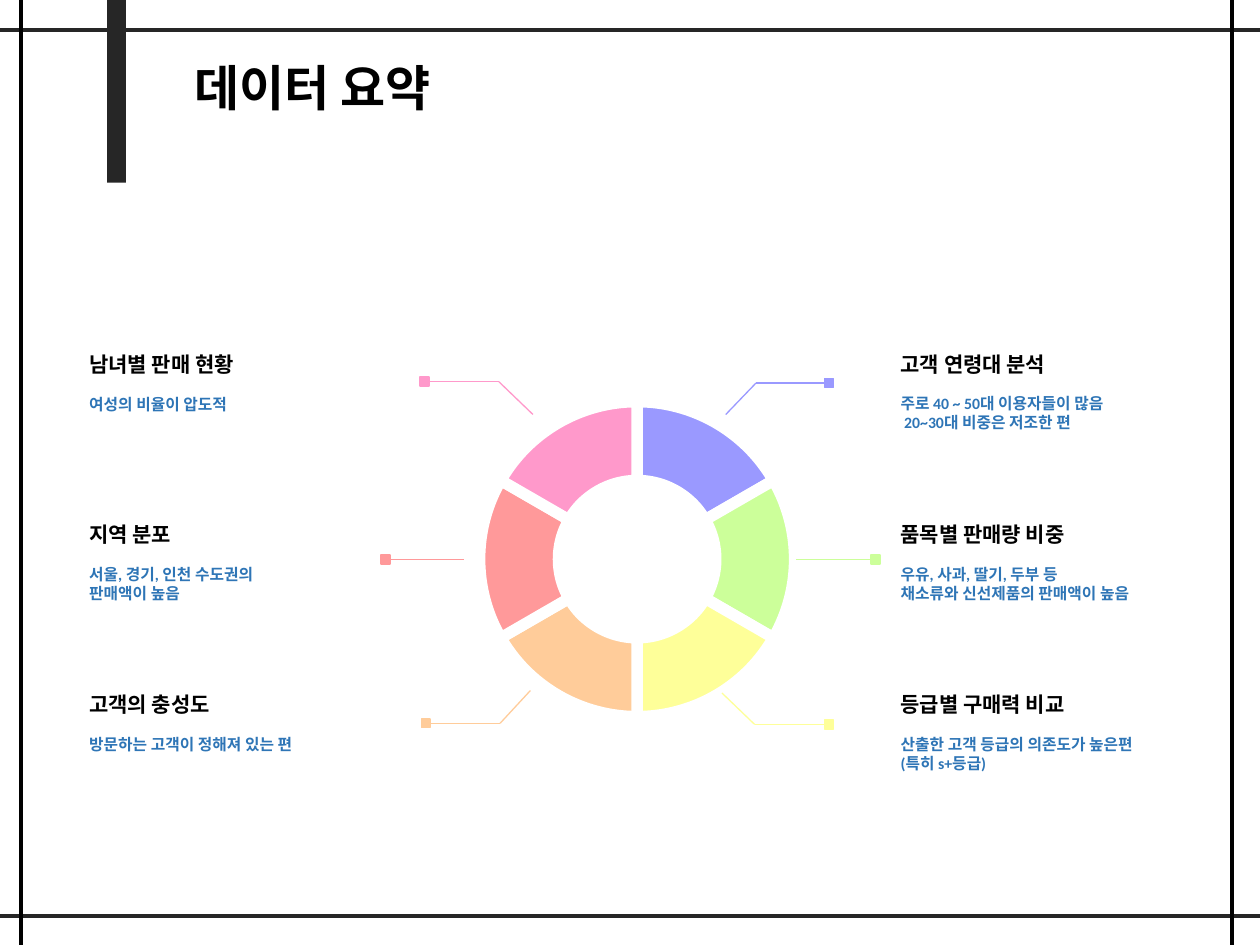
from collections import namedtuple
from itertools import pairwise

from lxml import etree
from pptx import Presentation
from pptx.chart.data import CategoryChartData
from pptx.dml.color import RGBColor
from pptx.enum.chart import XL_CHART_TYPE as ChartType
from pptx.enum.shapes import MSO_CONNECTOR as Connector, MSO_SHAPE as Shape
from pptx.enum.text import MSO_ANCHOR as Anchor, MSO_AUTO_SIZE as AutoSize, PP_ALIGN as Align
from pptx.oxml import parse_xml
from pptx.oxml.ns import nsdecls, qn
from pptx.util import Inches, Pt

Box = namedtuple("Box", "left top width height")
Topic = namedtuple("Topic", "heading details width colour route")

BLACK = RGBColor(0x00, 0x00, 0x00)
WHITE = RGBColor(0xFF, 0xFF, 0xFF)
CHARCOAL = RGBColor(0x26, 0x26, 0x26)
BLUE = RGBColor(0x2E, 0x75, 0xB6)
VIOLET = RGBColor(0x9A, 0x99, 0xFF)
GREEN = RGBColor(0xCC, 0xFF, 0x9A)
YELLOW = RGBColor(0xFE, 0xFF, 0x99)
ORANGE = RGBColor(0xFF, 0xCC, 0x9A)
RED = RGBColor(0xFF, 0x99, 0x9A)
PINK = RGBColor(0xFF, 0x99, 0xCB)

FONT = "Calibri"
MARKER = 0.07
ROW_STEP = 1.35

LEFT_TOPICS = [
    Topic("남녀별 판매 현황", ["여성의 비율이 압도적"], 2.2, PINK,
          [(0.56, -0.05), (1.15, -0.05), (1.42, 0.21)]),
    Topic("지역 분포", ["서울, 경기, 인천 수도권의", "판매액이 높음"], 1.5, RED,
          [(0.25, 1.36), (0.87, 1.36)]),
    Topic("고객의 충성도", ["방문하는 고객이 정해져 있는 편"], 2.2, ORANGE,
          [(0.57, 2.66), (1.16, 2.66), (1.4, 2.4)]),
]
RIGHT_TOPICS = [
    Topic("고객 연령대 분석", ["주로 40 ~ 50대 이용자들이 많음", "\u00a020~30대 비중은 저조한 편"], 2.4,
          VIOLET, [(3.77, -0.04), (3.19, -0.04), (2.95, 0.21)]),
    Topic("품목별 판매량 비중", ["우유, 사과, 딸기, 두부 등", "채소류와 신선제품의 판매액이 높음"], 2.4,
          GREEN, [(4.14, 1.36), (3.51, 1.36)]),
    Topic("등급별 구매력 비교", ["산출한 고객 등급의 의존도가 높은편", "(특히 s+등급)"], 2.4,
          YELLOW, [(3.77, 2.67), (3.18, 2.67), (2.92, 2.42)]),
]


def add_line(page, start, end, colour, width):
    line = page.shapes.add_connector(Connector.STRAIGHT, *map(Inches, start + end))
    line.line.color.rgb = colour
    line.line.width = Pt(width)
    etree.SubElement(line._element.spPr, qn("a:effectLst"))
    return line


def add_block(page, box, colour):
    block = page.shapes.add_shape(Shape.RECTANGLE, *map(Inches, box))
    block.shadow.inherit = False
    block.fill.solid()
    block.fill.fore_color.rgb = colour
    block.line.fill.background()
    return block


def write(frame, lines, size, colour):
    frame.text = "\n".join(lines)
    for para in frame.paragraphs:
        para.alignment = Align.LEFT
        para.font.name = FONT
        para.font.size = Pt(size)
        para.font.bold = True
        para.font.color.rgb = colour


def add_text(page, box, lines, size, colour):
    frame = page.shapes.add_textbox(*map(Inches, box)).text_frame
    frame.word_wrap = True
    write(frame, lines, size, colour)


def draw_frame(page, box):
    right, bottom = box.left + box.width, box.top + box.height
    for y in (0.24, 7.27):
        add_line(page, (box.left, box.top + y), (right, box.top + y), CHARCOAL, 2.25)
    for x in (0.17, 9.78):
        add_line(page, (box.left + x, box.top), (box.left + x, bottom), BLACK, 2.25)
    add_block(page, Box(box.left + 0.85, box.top, 0.15, 1.45), CHARCOAL)


def place_title(page, box, text):
    title = page.shapes.title
    title.left, title.top, title.width, title.height = map(Inches, box)
    frame = title.text_frame
    frame.word_wrap = False
    frame.auto_size = AutoSize.SHAPE_TO_FIT_TEXT
    frame.vertical_anchor = Anchor.TOP
    write(frame, [text], 28, BLACK)


def draw_ring(page, box, colours):
    data = CategoryChartData()
    data.categories = [str(number + 1) for number in range(len(colours))]
    data.add_series("Series 1", [17] * len(colours))
    chart = page.shapes.add_chart(ChartType.DOUGHNUT, *map(Inches, box), data).chart
    chart.has_legend = False
    chart.has_title = False
    chart.font.name = FONT
    chart.font.size = Pt(10)
    chart.font.color.rgb = BLACK
    plot = chart.plots[0]
    plot.vary_by_categories = False
    for index, colour in enumerate(colours):
        style = plot.series[0].points[index].format
        style.fill.solid()
        style.fill.fore_color.rgb = colour
        style.line.color.rgb = WHITE
        style.line.width = Pt(6.5)
    plot._element.find(qn("c:holeSize")).set("val", "75")

    diameter = 2.5
    width, height = diameter / box.width, diameter / box.height
    area = chart._chartSpace.chart.plotArea
    for old in area.findall(qn("c:layout")):
        area.remove(old)
    area.insert(0, parse_xml(
        f'<c:layout {nsdecls("c")}><c:manualLayout><c:layoutTarget val="inner"/>'
        '<c:xMode val="edge"/><c:yMode val="edge"/>'
        f'<c:x val="{(1 - width) / 2:.3f}"/><c:y val="{(1 - height) / 2:.3f}"/>'
        f'<c:w val="{width:.3f}"/><c:h val="{height:.3f}"/>'
        '</c:manualLayout></c:layout>'))


def draw_callout(page, box, topic, marker_side):
    points = [(box.left + x, box.top + y) for x, y in topic.route]
    x, y = points[0]
    marker = add_block(page, Box(x - MARKER / 2, y - MARKER / 2, MARKER, MARKER), topic.colour)
    marker.line.color.rgb = topic.colour
    marker.line.width = Pt(1)
    lines = [add_line(page, start, end, topic.colour, 0.75) for start, end in pairwise(points)]
    lines[0].begin_connect(marker, marker_side)


def write_topics(page, box, topics):
    for row, topic in enumerate(topics):
        top = box.top + row * ROW_STEP
        add_text(page, Box(box.left, top, box.width, 0.3), [topic.heading], 12, BLACK)
        height = 0.1 + 0.15 * len(topic.details)
        add_text(page, Box(box.left, top + 0.34, topic.width, height), topic.details, 9, BLUE)


def main():
    deck = Presentation()
    deck.slide_width, deck.slide_height = Inches(10), Inches(7.5)
    page = deck.slides.add_slide(deck.slide_layouts[5])
    ring = Box(2.81, 3.08, 4.49, 2.72)

    draw_frame(page, Box(0, 0, 10, 7.5))
    place_title(page, Box(1.44, 0.41, 2.25, 0.57), "데이터 요약")
    clockwise = RIGHT_TOPICS + LEFT_TOPICS[::-1]
    draw_ring(page, ring, [topic.colour for topic in clockwise])
    for left, topics, marker_side in ((0.61, LEFT_TOPICS, 3), (7.05, RIGHT_TOPICS, 1)):
        write_topics(page, Box(left, 2.74, 2.2, 3.45), topics)
        for topic in topics:
            draw_callout(page, ring, topic, marker_side)
    deck.save("out.pptx")


if __name__ == "__main__":
    main()
